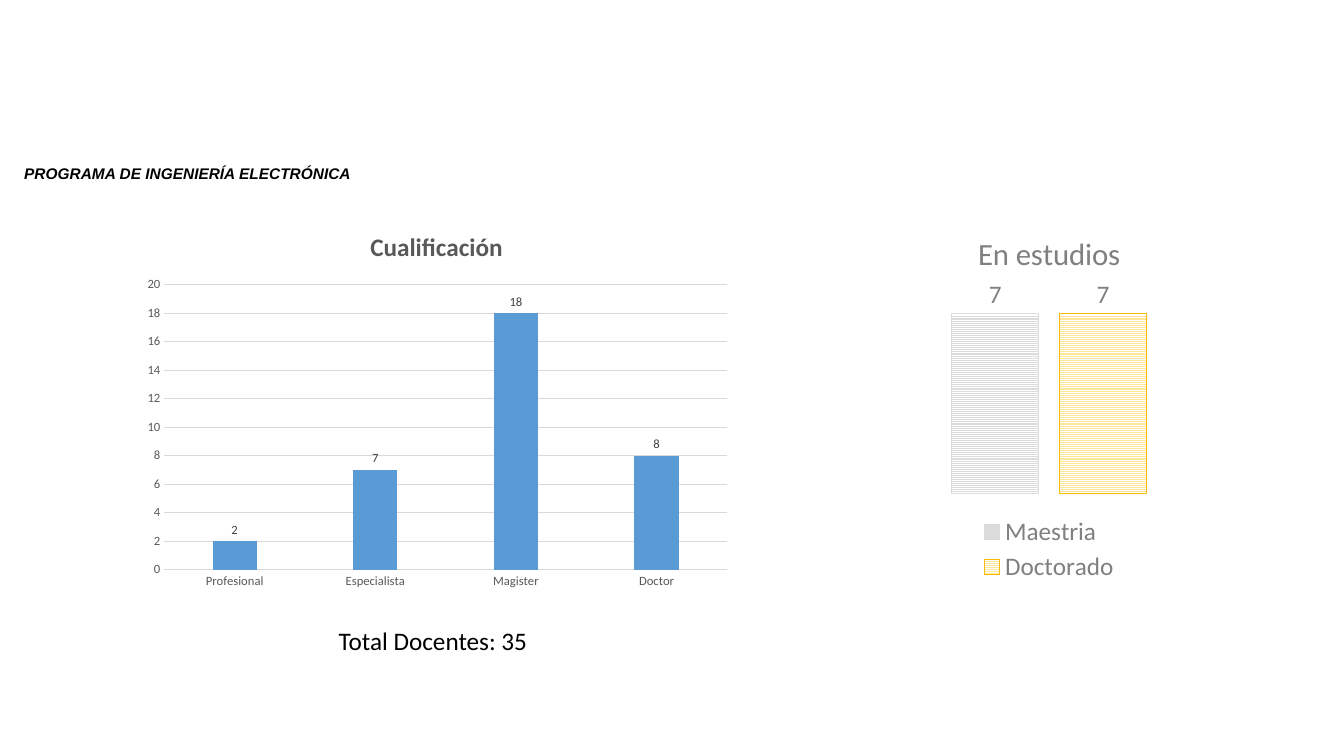
from dataclasses import dataclass

from lxml.etree import SubElement
from pptx import Presentation
from pptx.chart.data import CategoryChartData
from pptx.dml.color import RGBColor
from pptx.enum.chart import XL_CHART_TYPE, XL_LABEL_POSITION, XL_LEGEND_POSITION, XL_TICK_MARK
from pptx.enum.dml import MSO_PATTERN
from pptx.enum.text import MSO_ANCHOR, MSO_AUTO_SIZE, PP_ALIGN
from pptx.oxml.ns import qn
from pptx.util import Inches, Pt


@dataclass(frozen=True)
class Theme:
    black: RGBColor = RGBColor.from_string("000000")
    white: RGBColor = RGBColor.from_string("FFFFFF")
    dark: RGBColor = RGBColor.from_string("404040")
    slate: RGBColor = RGBColor.from_string("595959")
    gray: RGBColor = RGBColor.from_string("808080")
    grid: RGBColor = RGBColor.from_string("D9D9D9")
    silver: RGBColor = RGBColor.from_string("DBDBDB")
    blue: RGBColor = RGBColor.from_string("5B9BD5")
    sand: RGBColor = RGBColor.from_string("FFE699")
    gold: RGBColor = RGBColor.from_string("F9BC00")
    body: str = "Calibri"
    heading: str = "Arial"
    small: int = 9
    base: int = 10
    label: int = 11
    large: int = 18
    title: int = 22
    hairline: float = 0.75


T = Theme()


def style(font, size, color, name=T.body, bold=False, italic=False):
    font.size, font.name = Pt(size), name
    font.bold, font.italic = bold, italic
    font.color.rgb = color


def place(parent, index, target=None, **box):
    for old in parent.findall(qn("c:layout")):
        parent.remove(old)
    layout = SubElement(parent, qn("c:layout"))
    parent.insert(index, layout)
    manual = SubElement(layout, qn("c:manualLayout"))
    if target:
        SubElement(manual, qn("c:layoutTarget")).set("val", target)
    for axis in "xy":
        SubElement(manual, qn(f"c:{axis}Mode")).set("val", "edge")
    for key, value in box.items():
        SubElement(manual, qn(f"c:{key}")).set("val", str(value))


prs = Presentation()
prs.slide_width, prs.slide_height = Inches(13.33), Inches(7.5)
s = prs.slides.add_slide(prs.slide_layouts[5])

sp = s.shapes.title
sp.left, sp.top, sp.width, sp.height = Inches(0.14), Inches(1.58), Inches(3.52), Inches(0.28)
sp.fill.solid()
sp.fill.fore_color.rgb = T.white
tf = sp.text_frame
tf.auto_size = MSO_AUTO_SIZE.NONE
tf.vertical_anchor = MSO_ANCHOR.MIDDLE
tf.text = "PROGRAMA DE INGENIERÍA ELECTRÓNICA"
p = tf.paragraphs[0]
p.alignment = PP_ALIGN.LEFT
style(p.font, T.label, T.black, T.heading, bold=True, italic=True)

sp = s.shapes.add_textbox(Inches(3.26), Inches(6.15), Inches(3.15), Inches(0.4))
tf = sp.text_frame
tf.word_wrap = True
tf.auto_size = MSO_AUTO_SIZE.SHAPE_TO_FIT_TEXT
tf.text = "Total Docentes: 35"
style(tf.paragraphs[0].font, T.large, T.black)

charts = []
for title, cats, series, at, plot_box, title_font, label_font, gap, overlap in (
    ("Cualificación", ("Profesional", "Especialista", "Magister", "Doctor"),
     {"Series 1": (2, 7, 18, 8)}, (1.33, 2.1, 6, 3.82),
     dict(x=0.05, y=0.19, w=0.93, h=0.74),
     (T.large, T.slate, T.body, True), (T.small, T.dark), 219, -27),
    ("En estudios", ("1",), {"Maestria": (7,), "Doctorado": (7,)},
     (8.95, 2.12, 2.91, 3.7), dict(x=0.02, y=0.2, w=0.96, h=0.55),
     (T.title, T.gray), (T.large, T.gray), 100, -24),
):
    data = CategoryChartData()
    data.categories = cats
    for name, values in series.items():
        data.add_series(name, values)
    chart = s.shapes.add_chart(
        XL_CHART_TYPE.COLUMN_CLUSTERED, *map(Inches, at), data).chart
    style(chart.font, T.base, T.black)
    chart.has_title = True
    chart.chart_title.include_in_layout = False
    tf = chart.chart_title.text_frame
    tf.text = title
    style(tf.paragraphs[0].font, *title_font)
    plot = chart.plots[0]
    plot.vary_by_categories = False
    plot.gap_width, plot.overlap = gap, overlap
    for ser in plot.series:
        ser.invert_if_negative = False
        labels = ser.data_labels
        labels.show_value = True
        labels.position = XL_LABEL_POSITION.OUTSIDE_END
        style(labels.font, *label_font)
    place(chart.element.find(".//" + qn("c:plotArea")), 0, "inner", **plot_box)
    charts.append(chart)

staff, studies = charts
staff.has_legend = False
fill = staff.plots[0].series[0].format.fill
fill.solid()
fill.fore_color.rgb = T.blue
for axis in (staff.category_axis, staff.value_axis):
    axis.major_tick_mark = axis.minor_tick_mark = XL_TICK_MARK.NONE
    style(axis.tick_labels.font, T.small, T.slate)
staff.value_axis.minimum_scale, staff.value_axis.maximum_scale = 0, 20
staff.value_axis.major_unit = 2
staff.value_axis.format.line.fill.background()
for line in (staff.category_axis.format.line, staff.value_axis.major_gridlines.format.line):
    line.color.rgb = T.grid
    line.width = Pt(T.hairline)

studies.value_axis.minimum_scale, studies.value_axis.maximum_scale = 0, 8
studies.value_axis.has_major_gridlines = False
studies.category_axis.visible = studies.value_axis.visible = False
masters, doctorate = studies.plots[0].series
masters.format.fill.solid()
masters.format.fill.fore_color.rgb = T.silver
for fmt, fore, edge in (
    (masters.points[0].format, T.silver, T.silver),
    (doctorate.format, T.sand, T.gold),
):
    fmt.fill.patterned()
    fmt.fill.pattern = MSO_PATTERN.NARROW_HORIZONTAL
    fmt.fill.fore_color.rgb = fore
    fmt.fill.back_color.rgb = T.white
    fmt.line.color.rgb = edge
    fmt.line.width = Pt(T.hairline)
masters.format.line.color.rgb = T.silver
masters.format.line.width = Pt(T.hairline)

studies.has_legend = True
legend = studies.legend
legend.position = XL_LEGEND_POSITION.BOTTOM
legend.include_in_layout = False
style(legend.font, T.large, T.gray)
place(studies.element.find(".//" + qn("c:legend")), 1, x=0.26, y=0.8, w=0.48, h=0.2)

prs.save("out.pptx")
